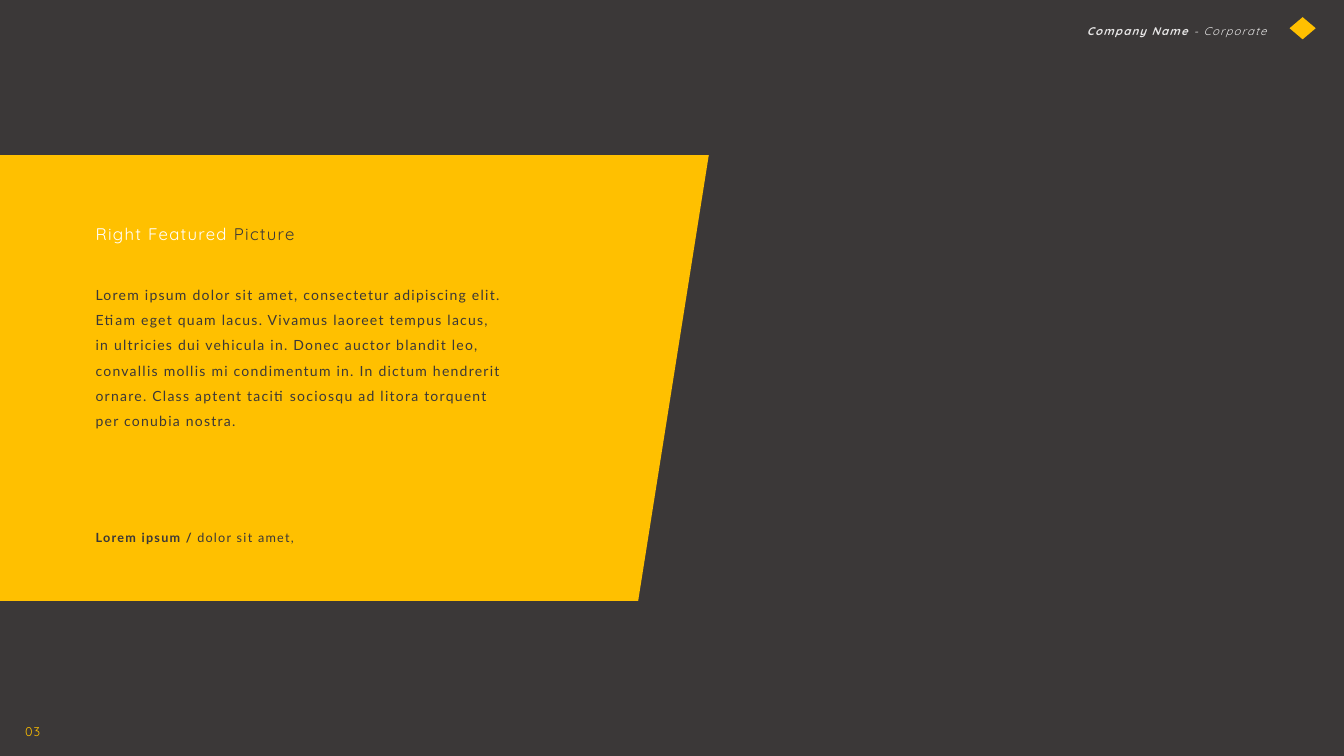
from dataclasses import dataclass

from pptx import Presentation
from pptx import util as u
from pptx.dml import color
from pptx.enum import shapes, text


@dataclass(frozen=True)
class Theme:
    dark: str = "3B3838"
    accent: str = "FFC000"
    light: str = "E7E6E6"
    white: str = "FFFFFF"
    heading_font: str = "Quicksand"
    body_font: str = "Lato"
    heading_size: int = 12
    body_size: int = 10
    small_size: int = 9
    header_size: int = 8
    line_spacing: float = 1.5
    tracking: str = "90"  # hundredths of a point


THEME = Theme()


@dataclass(frozen=True)
class Span:
    words: str
    tint: str
    bold: bool = False


@dataclass(frozen=True)
class Caption:
    left: float
    top: float
    width: float
    height: float
    font: str
    size: int
    spans: tuple[Span, ...]
    italic: bool = False
    wrap: bool = True
    align: text.PP_ALIGN = text.PP_ALIGN.LEFT


MARGIN = 0.85
CAPTIONS = (
    # Panel heading, body and footnote
    Caption(MARGIN, 2.07, 2.65, 0.37, THEME.heading_font, THEME.heading_size,
            (Span("Right Featured ", THEME.white), Span("Picture", THEME.dark)),
            wrap=False),
    Caption(MARGIN, 2.71, 4.23, 1.33, THEME.body_font, THEME.body_size,
            (Span("Lorem ipsum dolor sit amet, consectetur adipiscing elit. "
                  "Etiam eget quam lacus. Vivamus laoreet tempus lacus, in "
                  "ultricies dui vehicula in. Donec auctor blandit leo, "
                  "convallis mollis mi condimentum in. In dictum hendrerit "
                  "ornare. Class aptent taciti sociosqu ad litora torquent "
                  "per conubia nostra.", THEME.dark),)),
    Caption(MARGIN, 5.13, 2.68, 0.3, THEME.body_font, THEME.small_size,
            (Span("Lorem ipsum / ", THEME.dark, bold=True),
             Span("dolor sit amet,", THEME.dark))),
    # Running header and page number
    Caption(10.64, 0.13, 2.02, 0.28, THEME.heading_font, THEME.header_size,
            (Span("Company Name ", THEME.light, bold=True),
             Span("- Corporate", THEME.light)),
            italic=True, align=text.PP_ALIGN.RIGHT),
    Caption(0.15, 7.06, 0.53, 0.3, THEME.heading_font, THEME.small_size,
            (Span("03", THEME.accent),)),
)

PANEL_OUTLINE = ((0, 1.54), (7.03, 1.54), (6.33, 5.96), (0, 5.96))


def paint(shape, tint: str) -> None:
    """Give a shape a flat fill with no outline or shadow."""
    shape.shadow.inherit = False
    shape.fill.solid()
    shape.fill.fore_color.rgb = color.RGBColor.from_string(tint)
    shape.line.fill.background()


def draw_panel(slide) -> None:
    start, *corners = [(u.Inches(x), u.Inches(y)) for x, y in PANEL_OUTLINE]
    outline = slide.shapes.build_freeform(*start)
    outline.add_line_segments(corners, close=True)
    paint(outline.convert_to_shape(), THEME.accent)


def draw_emblem(slide) -> None:
    emblem = slide.shapes.add_shape(
        shapes.MSO_SHAPE.DIAMOND,
        u.Inches(12.79), u.Inches(0.17), u.Inches(0.26), u.Inches(0.22))
    paint(emblem, THEME.accent)


def draw_caption(slide, caption: Caption) -> None:
    frame = slide.shapes.add_textbox(
        u.Inches(caption.left), u.Inches(caption.top),
        u.Inches(caption.width), u.Inches(caption.height)).text_frame
    frame.word_wrap = caption.wrap
    frame.auto_size = text.MSO_AUTO_SIZE.SHAPE_TO_FIT_TEXT
    paragraph = frame.paragraphs[0]
    paragraph.alignment = caption.align
    paragraph.line_spacing = THEME.line_spacing
    for span in caption.spans:
        run = paragraph.add_run()
        run.text = span.words
        formats = {"name": caption.font, "size": u.Pt(caption.size),
                   "bold": span.bold, "italic": caption.italic}
        for attribute, value in formats.items():
            setattr(run.font, attribute, value)
        run.font.color.rgb = color.RGBColor.from_string(span.tint)
        run._r.get_or_add_rPr().set("spc", THEME.tracking)


def main() -> None:
    deck = Presentation()
    deck.slide_width, deck.slide_height = u.Inches(13.33), u.Inches(7.5)
    slide = deck.slides.add_slide(deck.slide_layouts[6])
    backdrop = slide.background.fill
    backdrop.solid()
    backdrop.fore_color.rgb = color.RGBColor.from_string(THEME.dark)

    draw_panel(slide)
    draw_emblem(slide)
    for caption in CAPTIONS:
        draw_caption(slide, caption)
    deck.save("out.pptx")


if __name__ == "__main__":
    main()
